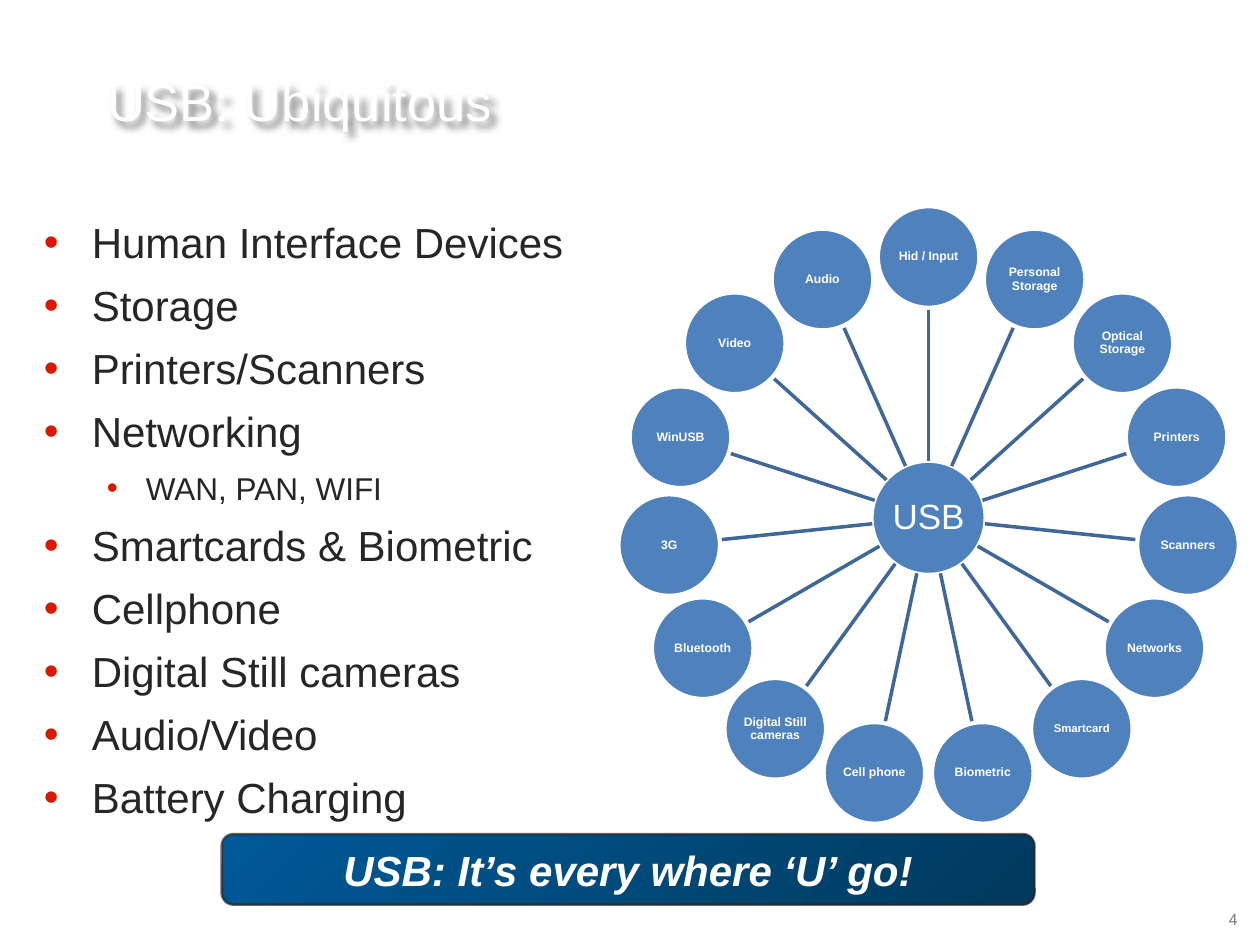
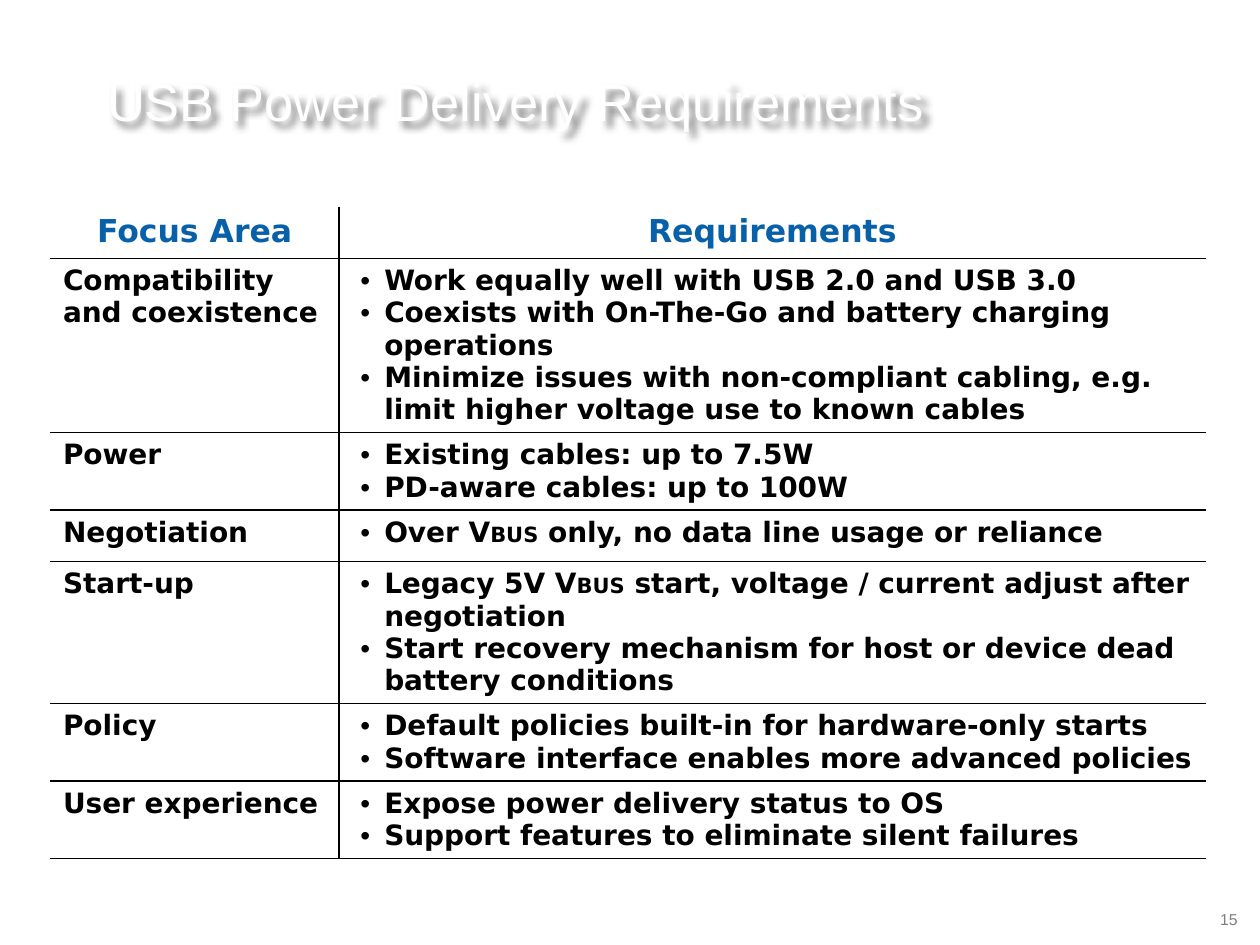
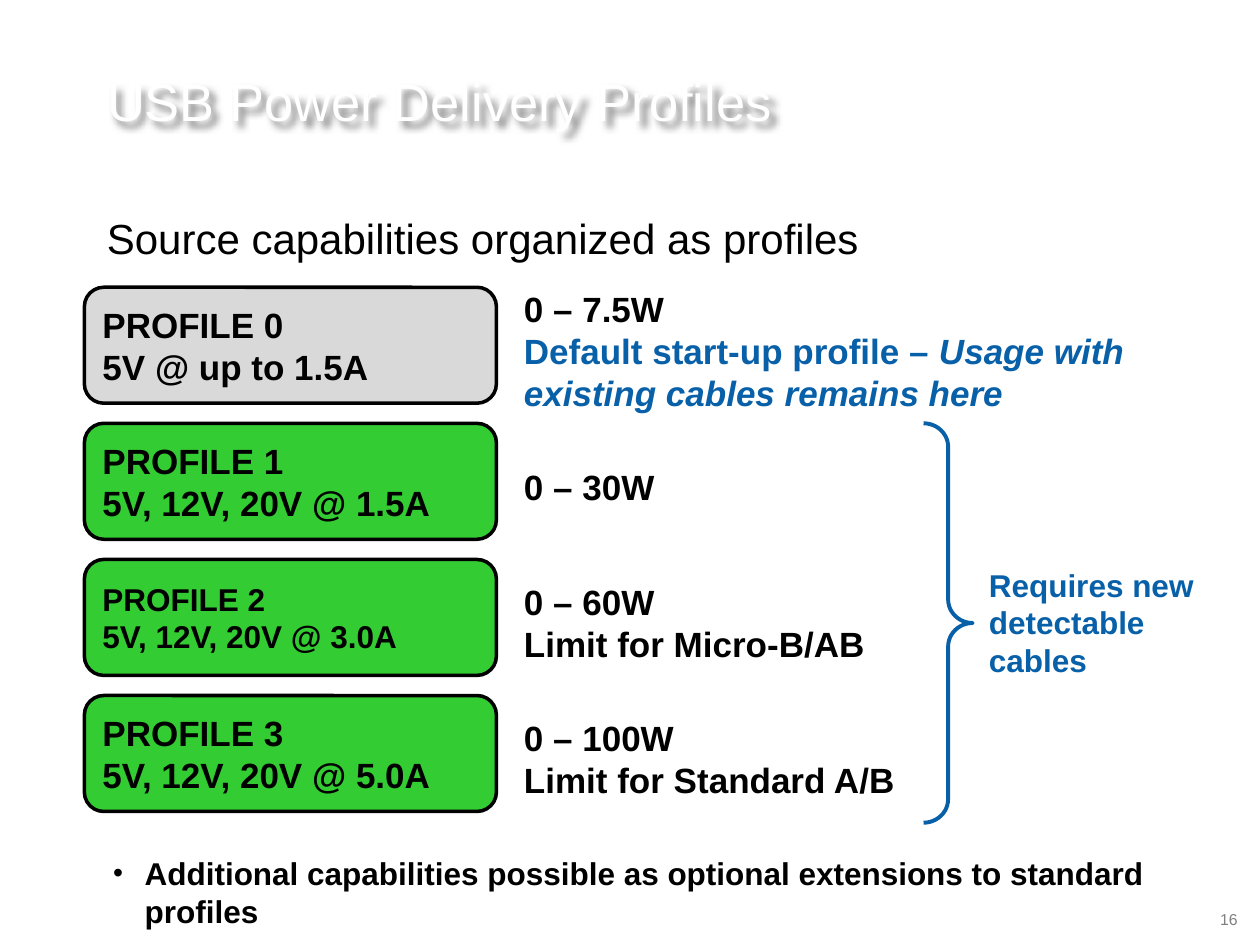
from dataclasses import dataclass
from math import cos, radians, sin

from lxml import etree
from pptx import Presentation
from pptx.dml.color import RGBColor
from pptx.enum.shapes import MSO_CONNECTOR, MSO_SHAPE
from pptx.enum.text import MSO_ANCHOR, MSO_AUTO_SIZE, PP_ALIGN
from pptx.oxml.ns import qn
from pptx.util import Inches, Pt

LEFT, CENTER, RIGHT = PP_ALIGN.LEFT, PP_ALIGN.CENTER, PP_ALIGN.RIGHT
TOP, MIDDLE = MSO_ANCHOR.TOP, MSO_ANCHOR.MIDDLE
NO_AUTO_SIZE = MSO_AUTO_SIZE.NONE
ELLIPSE, ROUNDED, BRACE = MSO_SHAPE.OVAL, MSO_SHAPE.ROUNDED_RECTANGLE, MSO_SHAPE.RIGHT_BRACE
STRAIGHT = MSO_CONNECTOR.STRAIGHT
TITLE_ONLY = 5


@dataclass(frozen=True)
class Theme:
    font: str = "Arial"
    table_font: str = "DejaVu Sans"
    number_font: str = "Roboto"
    white: str = "FFFFFF"
    black: str = "000000"
    body: str = "262626"
    bullet: str = "D81900"
    number: str = "808080"
    accent: str = "0860A8"
    node: str = "4F81BD"
    spoke: str = "3F6797"
    banner_start: str = "005998"
    banner_end: str = "003A5D"
    banner_line: str = "292929"
    default_profile: str = "D9D9D9"
    new_profile: str = "33CC33"
    title_size: float = 30
    large: float = 24
    medium: float = 20
    small: float = 18
    cell_size: float = 16
    subscript_size: float = 12
    number_size: float = 9
    node_size: float = 7


THEME = Theme()


def rgb(color):
    return RGBColor.from_string(color)


def add_element(parent, tag, **attributes):
    return etree.SubElement(parent, qn(tag), attributes)


class Deck:
    def __init__(self, theme):
        self.theme = theme
        self.presentation = Presentation()
        self.presentation.slide_width = Inches(10)
        self.presentation.slide_height = Inches(7.5)
        self.slide = None

    def start_slide(self, title, number, number_font=None):
        theme = self.theme
        layout = self.presentation.slide_layouts[TITLE_ONLY]
        self.slide = self.presentation.slides.add_slide(layout)
        shape = self.slide.shapes.title
        shape.left, shape.top = Inches(0.75), Inches(0.12)
        shape.width, shape.height = Inches(6.83), Inches(1.36)
        self.set_text(shape.text_frame, [title], anchor=MIDDLE,
                      size=theme.title_size, color=theme.white)
        effects = add_element(shape._element.spPr, "a:effectLst")
        shadow = add_element(effects, "a:outerShdw", blurRad="50800", dist="50800",
                             dir="2700000", algn="tl", rotWithShape="0")
        shadow_color = add_element(shadow, "a:srgbClr", val=theme.black)
        add_element(shadow_color, "a:alpha", val="50000")
        self.text(7.84, 7.17, 2.08, 0.3, [number], align=RIGHT, size=theme.number_size,
                  color=theme.number, font=number_font)

    def set_text(self, frame, paragraphs, anchor=TOP, **style):
        frame.word_wrap = True
        frame.auto_size = NO_AUTO_SIZE
        frame.vertical_anchor = anchor
        self.fill_paragraphs(frame, paragraphs, **style)

    def fill_paragraphs(self, frame, paragraphs, align=LEFT, **style):
        for index, runs in enumerate(paragraphs):
            paragraph = frame.paragraphs[0] if index == 0 else frame.add_paragraph()
            paragraph.alignment = align
            for run in [runs] if isinstance(runs, str) else runs:
                text, changes = (run, {}) if isinstance(run, str) else run
                self.add_run(paragraph, text, **{**style, **changes})

    def add_run(self, paragraph, text, size, color, bold=False, italic=False, font=None):
        for index, line in enumerate(text.split("\n")):
            if index:
                paragraph.add_line_break()
            if not line:
                continue
            run = paragraph.add_run()
            run.text = line
            run.font.name = font or self.theme.font
            run.font.size = Pt(size)
            run.font.bold = bold
            run.font.italic = italic
            run.font.color.rgb = rgb(color)

    def bullet(self, paragraph, margin, indent, color=None, percent=None):
        properties = paragraph._p.get_or_add_pPr()
        properties.set("marL", str(Inches(margin)))
        properties.set("indent", str(Inches(-indent)))
        if color:
            add_element(add_element(properties, "a:buClr"), "a:srgbClr", val=color)
        if percent:
            add_element(properties, "a:buSzPct", val=str(percent * 1000))
        add_element(properties, "a:buFont", typeface=self.theme.font)
        add_element(properties, "a:buChar", char="•")

    def text(self, left, top, width, height, paragraphs, **style):
        box = self.slide.shapes.add_textbox(Inches(left), Inches(top),
                                            Inches(width), Inches(height))
        self.set_text(box.text_frame, paragraphs, **style)
        return box.text_frame

    def shape(self, kind, left, top, width, height, fill, line, line_width):
        shape = self.slide.shapes.add_shape(kind, Inches(left), Inches(top),
                                            Inches(width), Inches(height))
        shape.shadow.inherit = False
        if fill:
            shape.fill.solid()
            shape.fill.fore_color.rgb = rgb(fill)
        else:
            shape.fill.background()
        shape.line.color.rgb = rgb(line)
        shape.line.width = Pt(line_width)
        return shape

    def node(self, x, y, diameter, label, size, bold=True):
        theme = self.theme
        shape = self.shape(ELLIPSE, x - diameter / 2, y - diameter / 2, diameter, diameter,
                           theme.node, theme.white, 2)
        frame = shape.text_frame
        frame.margin_left = frame.margin_right = frame.margin_top = frame.margin_bottom = 0
        self.set_text(frame, [label], anchor=MIDDLE, align=CENTER, size=size,
                      color=theme.white, bold=bold)
        frame.paragraphs[0].line_spacing = 0.9

    def connector(self, start, end, color, width):
        line = self.slide.shapes.add_connector(STRAIGHT, *map(Inches, start + end))
        line.line.color.rgb = rgb(color)
        line.line.width = Pt(width)
        add_element(line._element.spPr, "a:effectLst")

    def banner(self, left, top, width, height, text):
        theme = self.theme
        shape = self.shape(ROUNDED, left, top, width, height,
                           theme.banner_start, theme.banner_line, 1.5)
        shape.fill.gradient()
        shape.fill.gradient_angle = 315
        for stop, color in zip(shape.fill.gradient_stops, (theme.banner_start, theme.banner_end)):
            stop.color.rgb = rgb(color)
        line_color = shape.line._ln.find(".//" + qn("a:srgbClr"))
        add_element(line_color, "a:alpha", val="70000")
        self.set_text(shape.text_frame, [text], anchor=MIDDLE, align=CENTER, size=theme.large,
                      color=theme.white, bold=True, italic=True)

    def borders(self, cell, visible):
        properties = cell._tc.get_or_add_tcPr()
        for index, side in enumerate(("L", "R", "T", "B")):
            line = etree.Element(qn(f"a:ln{side}"), w=str(Pt(1)))
            if side in visible:
                add_element(add_element(line, "a:solidFill"), "a:srgbClr", val=self.theme.black)
            else:
                add_element(line, "a:noFill")
            properties.insert(index, line)

    def table(self, left, top, height, widths, row_height, headings, rows):
        theme = self.theme
        row_count = len(rows) + 2
        frame = self.slide.shapes.add_table(row_count, len(widths), Inches(left), Inches(top),
                                            Inches(sum(widths)), Inches(height))
        table = frame.table
        table.first_row = table.horz_banding = False
        for column, width in zip(table.columns, widths):
            column.width = Inches(width)
        for row in table.rows:
            row.height = Inches(row_height)
        frame.height = Inches(height)
        style = {"font": theme.table_font, "bold": True}
        for cell, heading in zip(table.rows[0].cells, headings):
            self.fill_paragraphs(cell.text_frame, [heading], align=CENTER,
                                 size=theme.small, color=theme.accent, **style)
        style.update(size=theme.cell_size, color=theme.black)
        for index, (area, requirements) in enumerate(rows, 1):
            self.fill_paragraphs(table.cell(index, 0).text_frame, [area], **style)
            details = table.cell(index, 1).text_frame
            self.fill_paragraphs(details, requirements, **style)
            for paragraph in details.paragraphs:
                self.bullet(paragraph, 0.26, 0.19)
        for index in range(row_count):
            last = index == row_count - 1
            above = "T" if index else ""
            below = "" if last else "B"
            divider = ("", "") if last else ("R", "L")
            for column, side in enumerate(divider):
                cell = table.cell(index, column)
                cell.fill.background()
                self.borders(cell, above + below + side)


def build_ubiquitous(deck):
    theme = deck.theme
    deck.start_slide("USB: Ubiquitous", "4", theme.number_font)
    nested = "WAN, PAN, WIFI"
    uses = ["Human Interface Devices", "Storage", "Printers/Scanners", "Networking",
            [(nested, {"size": theme.small})], "Smartcards & Biometric", "Cellphone",
            "Digital Still cameras", "Audio/Video", "Battery Charging"]
    frame = deck.text(0.25, 1.67, 4.92, 5, uses, size=theme.large, color=theme.body)
    for index, paragraph in enumerate(frame.paragraphs):
        if index:
            paragraph.space_before = Pt(7.25)
        if paragraph.text == nested:
            paragraph.level = 1
            deck.bullet(paragraph, 0.81, 0.31, theme.bullet)
        else:
            deck.bullet(paragraph, 0.38, 0.38, theme.bullet)

    devices = ["Hid / Input", "Personal Storage", "Optical Storage", "Printers", "Scanners",
               "Networks", "Smartcard", "Biometric", "Cell phone", "Digital Still cameras",
               "Bluetooth", "3G", "WinUSB", "Video", "Audio"]
    center_x, center_y = 7.37, 4.11

    def at(angle, radius):
        return center_x + radius * sin(angle), center_y - radius * cos(angle)

    deck.node(center_x, center_y, 0.9, "USB", theme.medium, bold=False)
    for index, device in enumerate(devices):
        angle = radians(360 / len(devices) * index)
        deck.connector(at(angle, 0.45), at(angle, 1.65), theme.spoke, 2)
        size = 6.5 if device == "Smartcard" else theme.node_size
        deck.node(*at(angle, 2.07), 0.8, device, size)
    deck.banner(1.76, 6.62, 6.45, 0.56, "USB: It’s every where ‘U’ go!")


def build_requirements(deck):
    deck.start_slide("USB Power Delivery Requirements", "15")
    bus = ("BUS", {"size": deck.theme.subscript_size})
    rows = [
        ("Compatibility and coexistence",
         ["Work equally well with USB 2.0 and USB 3.0",
          "Coexists with On-The-Go and battery charging operations",
          "Minimize issues with non-compliant cabling, e.g. \n"
          "limit higher voltage use to known cables"]),
        ("Power", ["Existing cables: up to 7.5W", "PD-aware cables: up to 100W"]),
        ("Negotiation", [["Over V", bus, " only, no data line usage or reliance"]]),
        ("Start-up",
         [["Legacy 5V V", bus, " start, voltage / current adjust after negotiation"],
          "Start recovery mechanism for host or device dead battery conditions"]),
        ("Policy",
         ["Default policies built-in for hardware-only starts",
          "Software interface enables more advanced policies"]),
        ("User experience",
         ["Expose power delivery status to OS",
          "Support features to eliminate silent failures"]),
    ]
    deck.table(0.4, 1.64, 5.72, (2.29, 6.88), 0.41, ("Focus Area", "Requirements"), rows)


def build_profiles(deck):
    theme = deck.theme
    deck.start_slide("USB Power Delivery Profiles", "16")
    heading = deck.text(0.75, 1.68, 8.5, 0.57, ["Source capabilities organized as profiles"],
                        size=theme.large, color=theme.black)
    heading.paragraphs[0].line_spacing = 0.9
    startup = ["0 – 7.5W\n", ("Default start-up profile – ", {"color": theme.accent}),
               ("Usage with existing cables remains here",
                {"color": theme.accent, "italic": True})]
    profiles = [
        ("5V @ up to 1.5A", theme.default_profile, theme.medium, [startup], 5.11),
        ("5V, 12V, 20V @ 1.5A", theme.new_profile, theme.medium, ["0 – 30W"], 3.25),
        ("5V, 12V, 20V @ 3.0A", theme.new_profile, theme.small,
         ["0 – 60W", "Limit for Micro-B/AB"], 3.25),
        ("5V, 12V, 20V @ 5.0A", theme.new_profile, theme.medium,
         ["0 – 100W", "Limit for Standard A/B"], 3.25),
    ]
    for index, (supply, fill, size, power, power_width) in enumerate(profiles):
        top = 2.28 + 1.08 * index
        profile = deck.shape(ROUNDED, 0.67, top, 3.27, 0.92, fill, theme.black, 2)
        deck.set_text(profile.text_frame, [f"PROFILE {index}", supply], anchor=MIDDLE,
                      size=size, color=theme.black, bold=True)
        deck.text(4.06, top - 0.06, power_width, 1.12, power, anchor=MIDDLE,
                  size=theme.medium, color=theme.black, bold=True)

    brace = deck.shape(BRACE, 7.33, 3.36, 0.39, 3.17, None, theme.accent, 2.25)
    brace.adjustments[0] = 0.48
    deck.text(7.75, 4.44, 2.17, 1.01, ["Requires new detectable", "cables"],
              size=theme.small, color=theme.accent, bold=True)
    note = deck.text(0.67, 6.73, 8.58, 0.75,
                     ["Additional capabilities possible as optional extensions"
                      " to standard profiles"],
                     size=theme.small, color=theme.black, bold=True)
    deck.bullet(note.paragraphs[0], 0.38, 0.25, percent=90)


def main():
    deck = Deck(THEME)
    build_ubiquitous(deck)
    build_requirements(deck)
    build_profiles(deck)
    deck.presentation.save("out.pptx")


if __name__ == "__main__":
    main()
